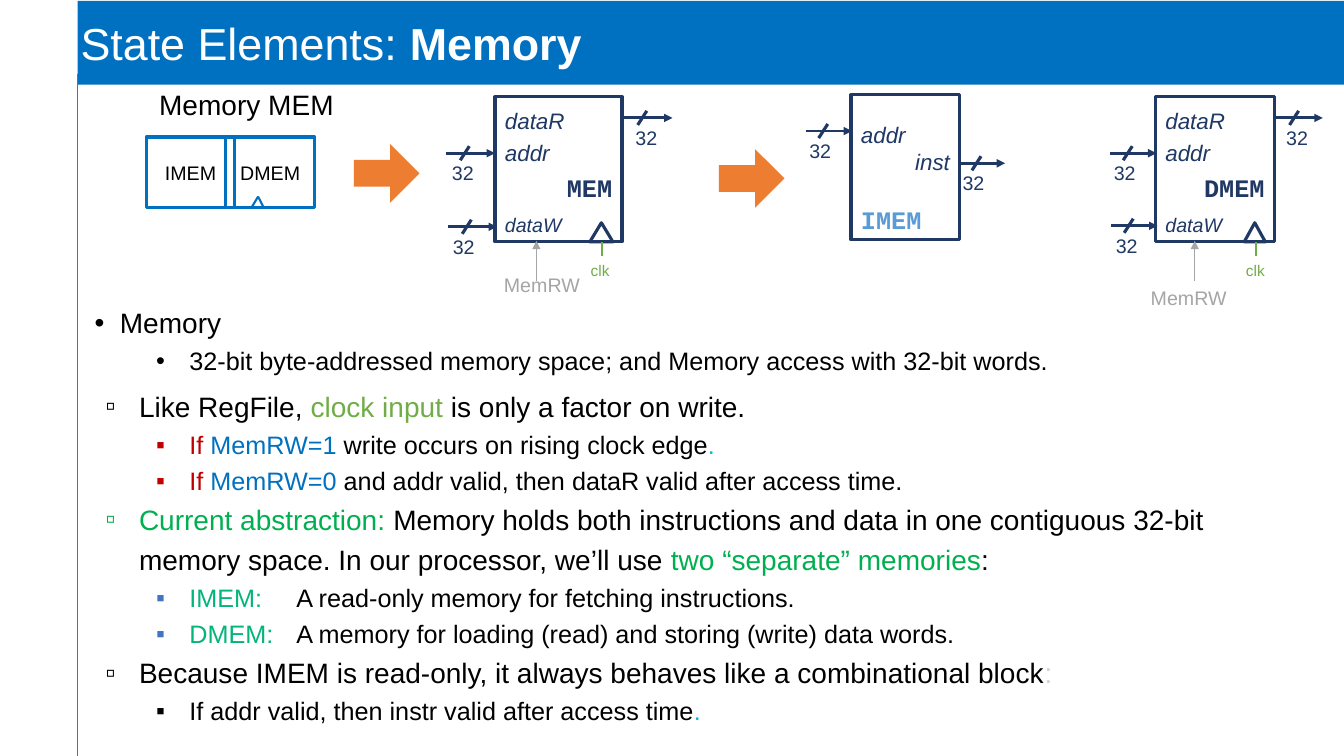
from dataclasses import dataclass

from lxml import etree
from pptx import Presentation, util as u
from pptx.dml.color import RGBColor
from pptx.enum import shapes, text
from pptx.oxml import ns


@dataclass(frozen=True)
class Theme:
    font: str = "Arial"
    mono: str = "Courier New"
    black: str = "000000"
    white: str = "FFFFFF"
    blue: str = "0070C0"
    navy: str = "1F3864"
    sky: str = "5B9BD5"
    rule: str = "4472C4"
    orange: str = "ED7D31"
    leaf: str = "70AD47"
    green: str = "00B050"
    teal: str = "03B57A"
    cyan: str = "00BDE2"
    pale: str = "C6DAC3"
    red: str = "C00000"
    gray: str = "A5A5A5"
    title: int = 32
    body: int = 20
    detail: int = 18
    port: int = 16
    label: int = 14
    clock: int = 11


theme = Theme()
KIND = shapes.MSO_SHAPE
CENTER, RIGHT = text.PP_ALIGN.CENTER, text.PP_ALIGN.RIGHT
MIDDLE, BOTTOM = text.MSO_ANCHOR.MIDDLE, text.MSO_ANCHOR.BOTTOM

presentation = Presentation()
presentation.slide_width, presentation.slide_height = u.Inches(13.33), u.Inches(7.5)
slide = presentation.slides.add_slide(presentation.slide_layouts[6])


def add_box(kind, place, paragraphs=(), fill=None, outline=None, inset=(0.1, 0.05), anchor=None, wrap=True):
    place = [u.Inches(value) for value in place]
    if kind is None:
        shape = slide.shapes.add_textbox(*place)
    else:
        shape = slide.shapes.add_shape(kind, *place)
        shape.shadow.inherit = False
        if fill:
            shape.fill.solid()
            shape.fill.fore_color.rgb = RGBColor.from_string(fill)
        else:
            shape.fill.background()
        if outline:
            shape.line.color.rgb = RGBColor.from_string(outline)
            shape.line.width = u.Pt(2.25)
        else:
            shape.line.fill.background()
    frame = shape.text_frame
    side, edge = u.Inches(inset[0]), u.Inches(inset[1])
    frame_format = {"word_wrap": wrap, "margin_left": side, "margin_right": side,
                    "margin_top": edge, "margin_bottom": edge,
                    "vertical_anchor": anchor or text.MSO_ANCHOR.TOP}
    for name, value in frame_format.items():
        setattr(frame, name, value)
    for index, (runs, paragraph_format) in enumerate(paragraphs):
        paragraph = frame.add_paragraph() if index else frame.paragraphs[0]
        for name, value in {"alignment": text.PP_ALIGN.LEFT, **paragraph_format}.items():
            setattr(paragraph, name, value)
        for words, size, color, *styles in runs:
            run = paragraph.add_run()
            run.text = words
            run.font.color.rgb = RGBColor.from_string(color)
            font_format = {"name": theme.font, "size": u.Pt(size)}
            for style in styles:
                font_format.update(style)
            for name, value in font_format.items():
                setattr(run.font, name, value)
    return shape


def add_line(start, end, color, width, arrow=False):
    points = [u.Inches(value) for value in (*start, *end)]
    connector = slide.shapes.add_connector(shapes.MSO_CONNECTOR.STRAIGHT, *points)
    connector.line.color.rgb = RGBColor.from_string(color)
    connector.line.width = u.Pt(width)
    if arrow:
        etree.SubElement(connector.line._get_or_add_ln(), ns.qn("a:tailEnd"), type="triangle")
    etree.SubElement(connector._element.spPr, ns.qn("a:effectLst"))


bold, italic = {"bold": True}, {"italic": True}
mono = {"name": theme.mono, "bold": True}
ink = theme.black
notes = [
    (0, "•", ink, 0, [("Memory", ink)]),
    (2, "•", ink, 0, [("32-bit byte-addressed memory space; and Memory access with 32-bit words.", ink)]),
    (1, "▫", ink, 5, [("Like RegFile, ", ink), ("clock input ", theme.leaf),
                      ("is only a factor on write.", ink)]),
    (2, "▪", theme.red, 0, [("If ", theme.red), ("MemRW=1 ", theme.blue),
                            ("write occurs on rising clock edge", ink), (".", theme.cyan)]),
    (2, "▪", theme.red, 0, [("If ", theme.red), ("MemRW=0 ", theme.blue),
                            ("and addr valid, then dataR valid after access time.", ink)]),
    (1, "▫", theme.green, 0, [
        ("Current abstraction: ", theme.green),
        ("Memory holds both instructions and data in one contiguous 32-bit memory space. "
         "In our processor, we’ll use ", ink),
        ("two “separate” memories", theme.green), (":", ink)]),
    (2, "▪", theme.rule, 0, [("IMEM: ", theme.teal),
                             ("\tA read-only memory for fetching instructions.", ink)]),
    (2, "▪", theme.rule, 0, [("DMEM: ", theme.teal),
                             ("\tA memory for loading (read) and storing (write) data words.", ink)]),
    (1, "▫", ink, 0, [("Because IMEM is read-only, it always behaves like a combinational block", ink),
                      (":", theme.pale)]),
    (2, "▪", ink, 0, [("If addr valid, then instr valid after access time", ink), (".", theme.cyan)]),
]
indents = [(0.25, -0.25), (0.44, -0.33), (0.94, -0.33)]
note_paragraphs = [
    ([(words, theme.detail if level == 2 else theme.body, color) for words, color in runs],
     {"level": level, "line_spacing": 1.2, "space_before": u.Pt(before)})
    for level, bullet, bullet_color, before, runs in notes]
body = add_box(None, (0.84, 2.92, 12.19, 4.93), note_paragraphs)
for paragraph, (level, bullet, bullet_color, before, runs) in zip(body.text_frame.paragraphs, notes):
    properties = paragraph._p.get_or_add_pPr()
    margin, hanging = indents[level]
    properties.set("marL", str(u.Inches(margin)))
    properties.set("indent", str(u.Inches(hanging)))
    color = etree.SubElement(properties, ns.qn("a:buClr"))
    etree.SubElement(color, ns.qn("a:srgbClr"), val=bullet_color)
    etree.SubElement(properties, ns.qn("a:buFont"), typeface=theme.font)
    etree.SubElement(properties, ns.qn("a:buChar"), char=bullet)

add_box(KIND.RECTANGLE, (0.77, 0.01, 12.56, 0.83),
        [([("State Elements: ", theme.title, theme.white), ("Memory", theme.title, theme.white, bold)], {})],
        fill=theme.blue, inset=(0.03, 0.03), anchor=MIDDLE)
add_line((0.77, 0.73), (0.77, 7.5), theme.rule, 0.75)

add_box(None, (1.48, 0.82, 2.35, 0.51), [([("Memory MEM", theme.body, ink)], {})])
for left, name in [(1.45, "IMEM"), (2.24, "DMEM")]:
    add_box(KIND.RECTANGLE, (left, 1.36, 0.88, 0.7),
            [([(name, theme.label, ink)], {"alignment": CENTER})], outline=theme.blue, anchor=MIDDLE)
for foot in (2.5, 2.61):
    add_line((foot, 2.05), (2.56, 1.95), theme.blue, 1.5)

for left, top in [(3.51, 1.43), (7.13, 1.48)]:
    arrow = add_box(KIND.RIGHT_ARROW, (left, top, 0.65, 0.58), fill=theme.orange)
    arrow.adjustments[0] = 0.458

gap = {"space_before": u.Pt(4)}
memories = [
    ("MEM", (4.91, 1.26), (5.85, 0.23), (5.76, 5.97), (5.32, 4.87, 2.69, 1.01)),
    ("DMEM", (11.46, 1.18), (12.34, 0.21), (12.26, 12.46), (11.85, 11.24, 2.82, 1.1)),
]
for name, (left, width), (notch, notch_width), (clock_left, clock), control in memories:
    add_box(KIND.ISOSCELES_TRIANGLE, (notch, 2.21, notch_width, 0.19), outline=theme.navy)
    add_box(KIND.RECTANGLE, (left, 0.96, width, 1.44), [
        ([("dataR", theme.port, theme.navy, italic)], {}),
        ([("addr", theme.port, theme.navy, italic)], gap),
        ([(name, theme.detail, theme.navy, mono)], {"alignment": RIGHT, **gap}),
        ([("dataW", theme.label, theme.navy, italic)], {"space_before": u.Pt(8)}),
    ], outline=theme.navy, anchor=BOTTOM)
    add_box(None, (clock_left, 2.54, 0.4, 0.29), [([("clk", theme.clock, theme.leaf)], {})], wrap=False)
    add_line((clock, 2.54), (clock, 2.4), theme.leaf, 1.5)
    control_x, control_left, control_top, control_width = control
    add_line((control_x, 2.79), (control_x, 2.39), theme.gray, 1, arrow=True)
    add_box(None, (control_left, control_top, control_width, 0.3),
            [([("MemRW", theme.label, theme.gray)], {"alignment": CENTER, "line_spacing": 0.85})])

add_box(KIND.RECTANGLE, (8.44, 0.94, 1.08, 1.44), [
    ([("addr", theme.port, theme.navy, italic)], {}),
    ([("inst", theme.port, theme.navy, italic)], {"alignment": RIGHT}),
    ([("IMEM", theme.detail, theme.sky, mono)], {"space_before": u.Pt(21)}),
], outline=theme.navy, anchor=BOTTOM)

ports = [
    (4.44, 2.25, 0.49, -0.03), (4.42, 1.52, 0.49, -0.02), (6.18, 1.17, 0.49, 0.04),
    (11.02, 2.24, 0.46, -0.02), (11.01, 1.52, 0.46, -0.03), (12.66, 1.17, 0.46, 0.03),
    (7.99, 1.3, 0.46, -0.03), (9.51, 1.62, 0.46, -0.03),
]
for left, y, length, shift in ports:
    middle = left + length / 2
    add_line((middle - 0.01, y - 0.07), (middle - 0.1, y + 0.07), theme.navy, 2.25)
    add_box(None, (left + shift, y + 0.05, length - 0.11, 0.3),
            [([("32", theme.label, theme.navy)], {"alignment": CENTER})], inset=(0.06, 0.03), wrap=False)
    add_line((left, y), (left + length, y), theme.navy, 2, arrow=True)

presentation.save("out.pptx")
